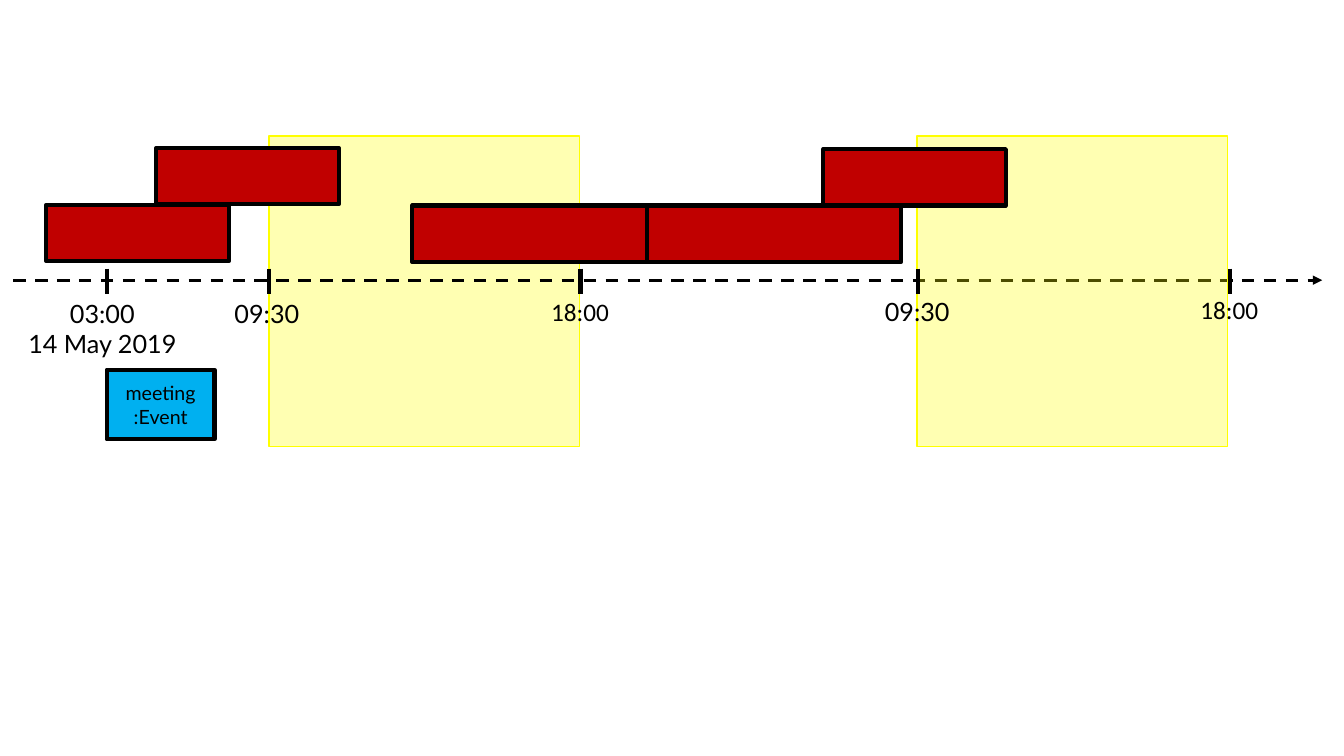
from lxml.etree import SubElement
from pptx import Presentation
from pptx.dml.color import RGBColor
from pptx.enum.dml import MSO_LINE_DASH_STYLE as Dash
from pptx.enum.shapes import MSO_CONNECTOR as Connector, MSO_SHAPE as Shape
from pptx.enum.text import MSO_ANCHOR as Anchor, MSO_AUTO_SIZE as AutoSize, PP_ALIGN as Align
from pptx.oxml.ns import qn
from pptx.util import Cm, Pt

BLACK = RGBColor(0x00, 0x00, 0x00)
YELLOW = RGBColor(0xFF, 0xFF, 0x00)
RED = RGBColor(0xC0, 0x00, 0x00)
BLUE = RGBColor(0x00, 0xB0, 0xF0)

AXIS_Y = 7.06
TICK_TOP, TICK_LENGTH = 6.77, 0.64
BAND_TOP, BAND_SIZE = 3.43, 7.82
BAR_HEIGHT = 1.42

deck = Presentation()
deck.slide_width, deck.slide_height = Cm(33.87), Cm(19.05)
page = deck.slides.add_slide(deck.slide_layouts[6])


def write(frame, text, size=18, font="Lato", align=Align.LEFT):
    for number, line in enumerate(text.split("\n")):
        para = frame.add_paragraph() if number else frame.paragraphs[0]
        para.alignment = align
        span = para.add_run()
        span.text = line
        span.font.size, span.font.name = Pt(size), font
        span.font.color.rgb = BLACK


def draw(item, width, color, fill=None):
    """Set the outline, and the fill of a box; remove the shadow."""
    item.line.width = Pt(width)
    item.line.color.rgb = color
    if fill is None:
        SubElement(item._element.spPr, qn("a:effectLst"))
    else:
        item.shadow.inherit = False
        item.fill.solid()
        item.fill.fore_color.rgb = fill
    return item


# Time axis between the two working-hours bands
for band_left in (6.78, 23.11):
    band = page.shapes.add_shape(
        Shape.RECTANGLE, Cm(band_left), Cm(BAND_TOP), Cm(BAND_SIZE), Cm(BAND_SIZE))
    draw(band, 1, YELLOW, YELLOW)
    color = band.fill._xPr.find(qn("a:solidFill"))[0]
    SubElement(color, qn("a:alpha"), val="30000")
    if band_left == 6.78:
        axis = page.shapes.add_connector(
            Connector.STRAIGHT, Cm(0.33), Cm(AXIS_Y), Cm(33.32), Cm(AXIS_Y))
        draw(axis, 2.25, BLACK)
        axis.line.dash_style = Dash.DASH
        SubElement(axis.line._get_or_add_ln(), qn("a:tailEnd"), type="triangle")

# Ticks
for x in (2.69, 6.78, 14.63, 23.14, 30.99):
    tick = page.shapes.add_connector(
        Connector.STRAIGHT, Cm(x), Cm(TICK_TOP), Cm(x), Cm(TICK_TOP + TICK_LENGTH))
    draw(tick, 3, BLACK)

# Busy periods
for left, top, width in (
    (1.17, 5.16, 4.6),
    (3.94, 3.73, 4.6),
    (10.39, 5.18, 5.97),
    (20.75, 3.76, 4.6),
    (16.31, 5.18, 6.4),
):
    bar = page.shapes.add_shape(
        Shape.RECTANGLE, Cm(left), Cm(top), Cm(width), Cm(BAR_HEIGHT))
    draw(bar, 3, BLACK, RED)

# Time labels
for text, left, top, width, height, font, align in (
    ("03:00\n14 May 2019", 0.41, 7.39, 4.34, 1.8, "Lato", Align.CENTER),
    ("09:30", 5.66, 7.39, 2.16, 1.02, "Lato", Align.LEFT),
    ("18:00", 13.64, 7.34, 1.98, 1.02, "Calibri", Align.LEFT),
    ("09:30", 22.05, 7.34, 2.16, 1.02, "Lato", Align.LEFT),
    ("18:00", 30.0, 7.29, 1.98, 1.02, "Calibri", Align.LEFT),
):
    label = page.shapes.add_textbox(Cm(left), Cm(top), Cm(width), Cm(height))
    label.text_frame.word_wrap = False
    label.text_frame.auto_size = AutoSize.SHAPE_TO_FIT_TEXT
    write(label.text_frame, text, font=font, align=align)

# Meeting event
meeting = page.shapes.add_shape(
    Shape.RECTANGLE, Cm(2.69), Cm(9.32), Cm(2.72), Cm(1.75))
draw(meeting, 3, BLACK, BLUE)
meeting.text_frame.vertical_anchor = Anchor.MIDDLE
write(meeting.text_frame, "meeting\n:Event", size=14, align=Align.CENTER)

deck.save("out.pptx")
